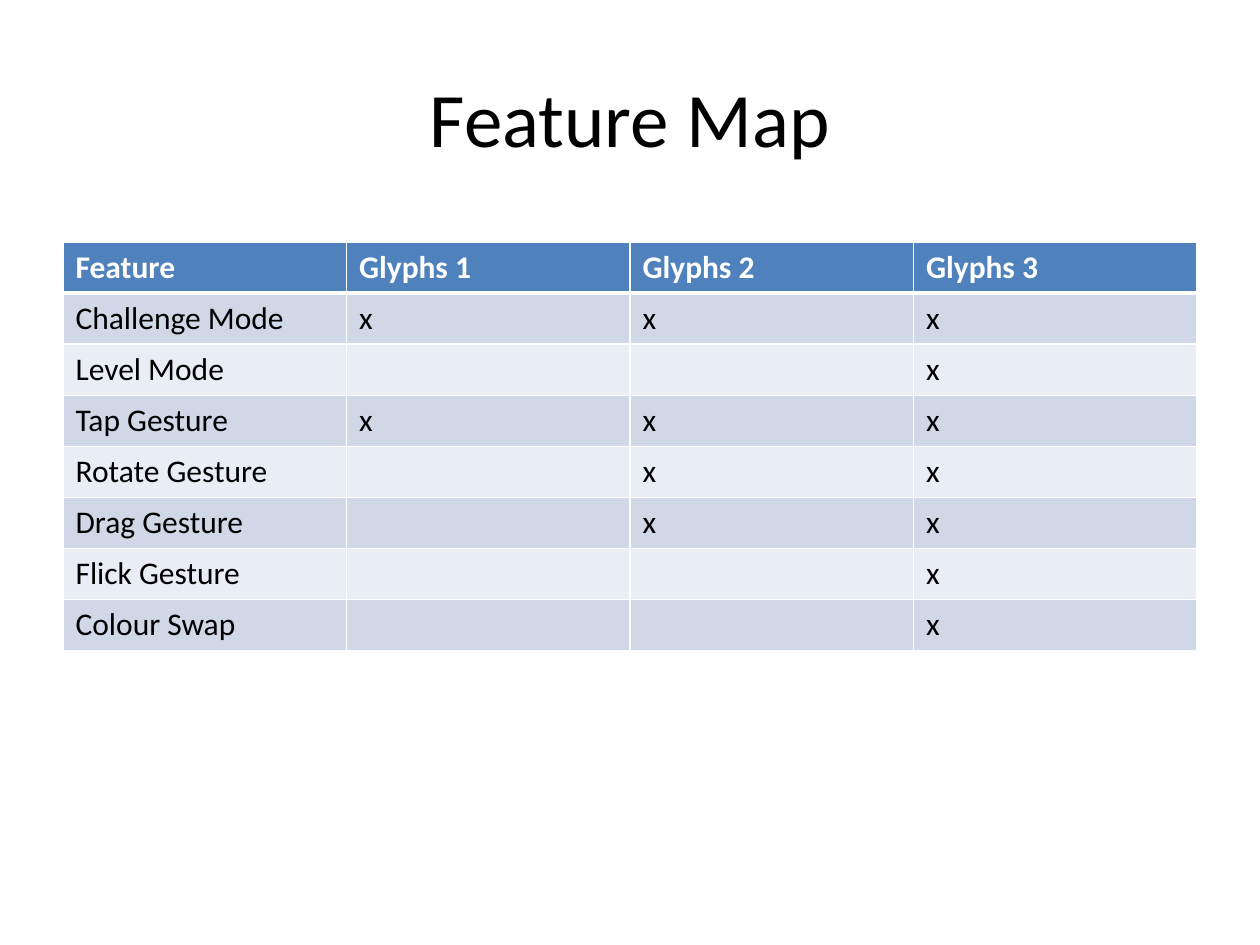
from dataclasses import dataclass

from lxml import etree
from pptx import Presentation
from pptx.dml.color import RGBColor
from pptx.enum.text import MSO_ANCHOR, PP_ALIGN
from pptx.oxml.ns import qn
from pptx.util import Emu, Pt

CENTER, LEFT = PP_ALIGN.CENTER, PP_ALIGN.LEFT
TOP, MIDDLE = MSO_ANCHOR.TOP, MSO_ANCHOR.MIDDLE
TITLE_ONLY = 5
SCALE = 914400 / 126


@dataclass(frozen=True)
class Theme:
    font: str = "Calibri"
    title_size: int = 44
    table_size: int = 18
    text: str = "000000"
    light: str = "FFFFFF"
    header: str = "4F81BD"
    bands: tuple = ("D0D8E8", "E9EDF4")
    thin: int = 1
    thick: int = 3


def px(length):
    return Emu(round(length * SCALE))


def set_all(target, values):
    for name, value in values.items():
        setattr(target, name, value)


class SlideBuilder:
    def __init__(self, slide, theme):
        self.slide, self.theme = slide, theme

    def add_text(self, paragraph, text, size, color, bold=False, align=LEFT):
        paragraph.alignment = align
        font = paragraph.font
        if text:
            run = paragraph.add_run()
            run.text = text
            font = run.font
        set_all(font, {"name": self.theme.font, "size": Pt(size), "bold": bold})
        font.color.rgb = RGBColor.from_string(color)

    def title(self, text, left, top, width, height):
        shape = self.slide.shapes.title
        set_all(shape, {"left": px(left), "top": px(top),
                        "width": px(width), "height": px(height)})
        set_all(shape.text_frame, {"word_wrap": True, "vertical_anchor": MIDDLE})
        self.add_text(shape.text_frame.paragraphs[0], text,
                      self.theme.title_size, self.theme.text, align=CENTER)

    def borders(self, cell, widths):
        properties = cell._tc.get_or_add_tcPr()
        for index, (side, width) in enumerate(widths.items()):
            line = etree.Element(qn(f"a:ln{side}"), w=str(Pt(width)))
            fill = etree.SubElement(line, qn("a:solidFill"))
            etree.SubElement(fill, qn("a:srgbClr"), val=self.theme.light)
            properties.insert(index, line)

    def table(self, rows, left, top, width, row_height):
        theme = self.theme
        count = len(rows[0])
        table = self.slide.shapes.add_table(
            len(rows), count, px(left), px(top),
            px(width), px(row_height * len(rows))).table
        for column in table.columns:
            column.width = px(width / count)
        for row_index, values in enumerate(rows):
            table.rows[row_index].height = px(row_height)
            is_header = row_index == 0
            fill = theme.header if is_header else theme.bands[(row_index - 1) % 2]
            color = theme.light if is_header else theme.text
            widths = {"L": theme.thin, "R": theme.thin,
                      "T": theme.thick if row_index == 1 else theme.thin,
                      "B": theme.thick if is_header else theme.thin}
            for column_index, text in enumerate(values):
                cell = table.cell(row_index, column_index)
                cell.vertical_anchor = TOP
                cell.fill.solid()
                cell.fill.fore_color.rgb = RGBColor.from_string(fill)
                self.add_text(cell.text_frame.paragraphs[0], text,
                              theme.table_size, color, bold=is_header)
                self.borders(cell, widths)


# Features with the first version that has each of them
VERSIONS = (1, 2, 3)
FEATURES = {
    "Challenge Mode": 1,
    "Level Mode": 3,
    "Tap Gesture": 1,
    "Rotate Gesture": 2,
    "Drag Gesture": 2,
    "Flick Gesture": 3,
    "Colour Swap": 3,
}

# Presentation
presentation = Presentation()
set_all(presentation, {"slide_width": px(1260), "slide_height": px(945)})
slide = presentation.slides.add_slide(presentation.slide_layouts[TITLE_ONLY])
builder = SlideBuilder(slide, Theme())

# Title
builder.title("Feature Map", 63, 38, 1134, 157)

# Feature table
header = ["Feature"] + [f"Glyphs {version}" for version in VERSIONS]
body = [[feature] + ["x" if version >= first else "" for version in VERSIONS]
        for feature, first in FEATURES.items()]
builder.table([header] + body, 63, 242, 1134, 51)

presentation.save("out.pptx")
